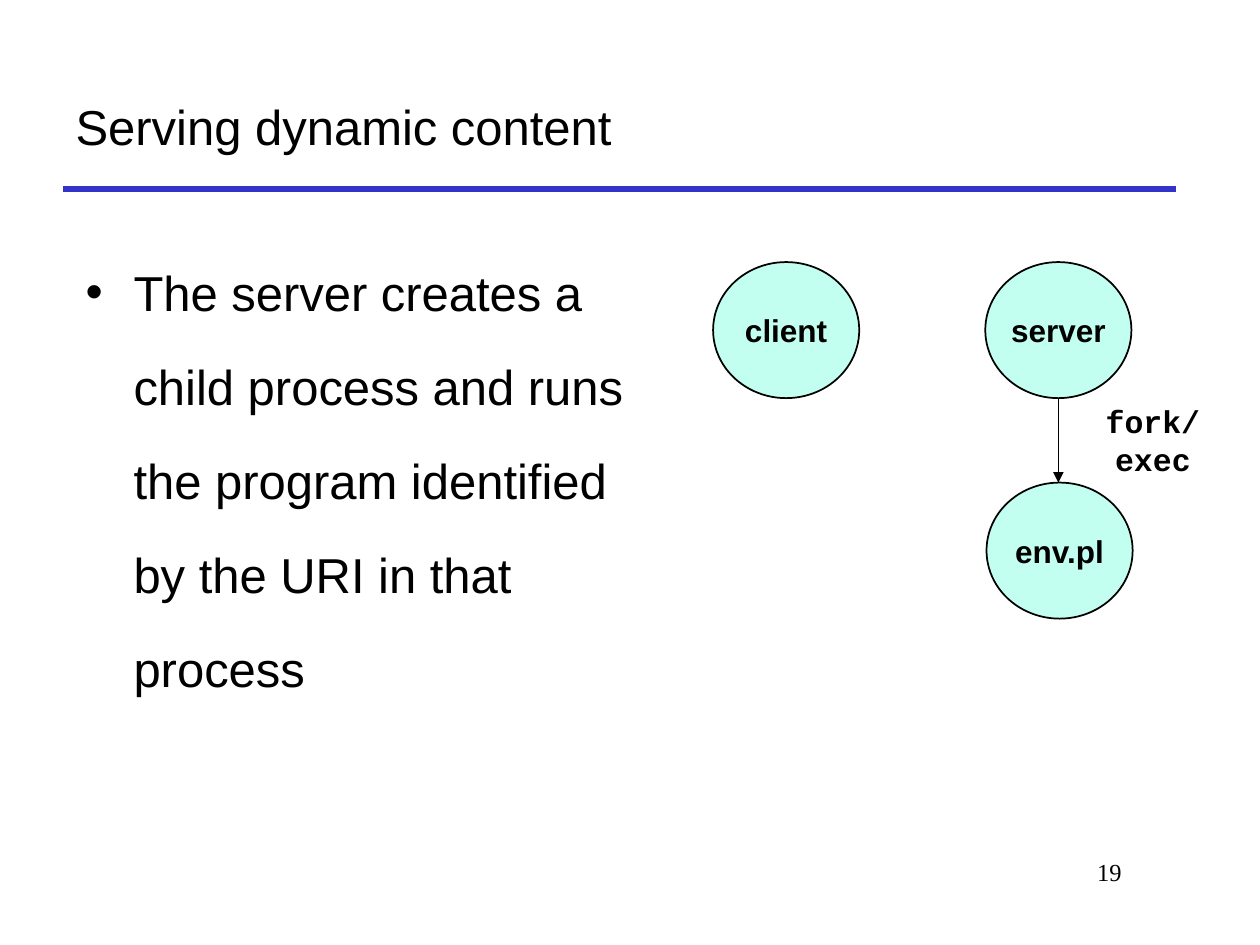
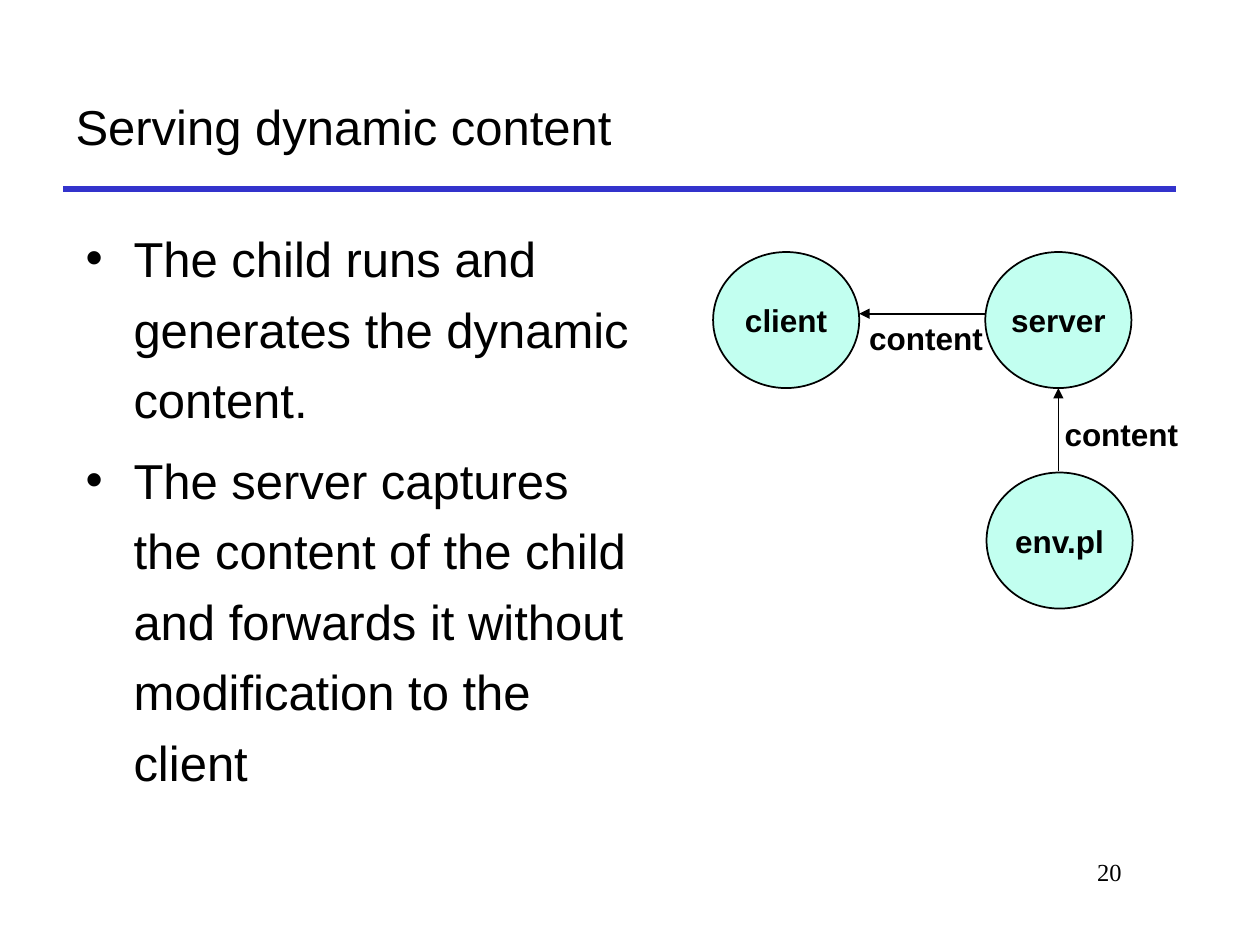
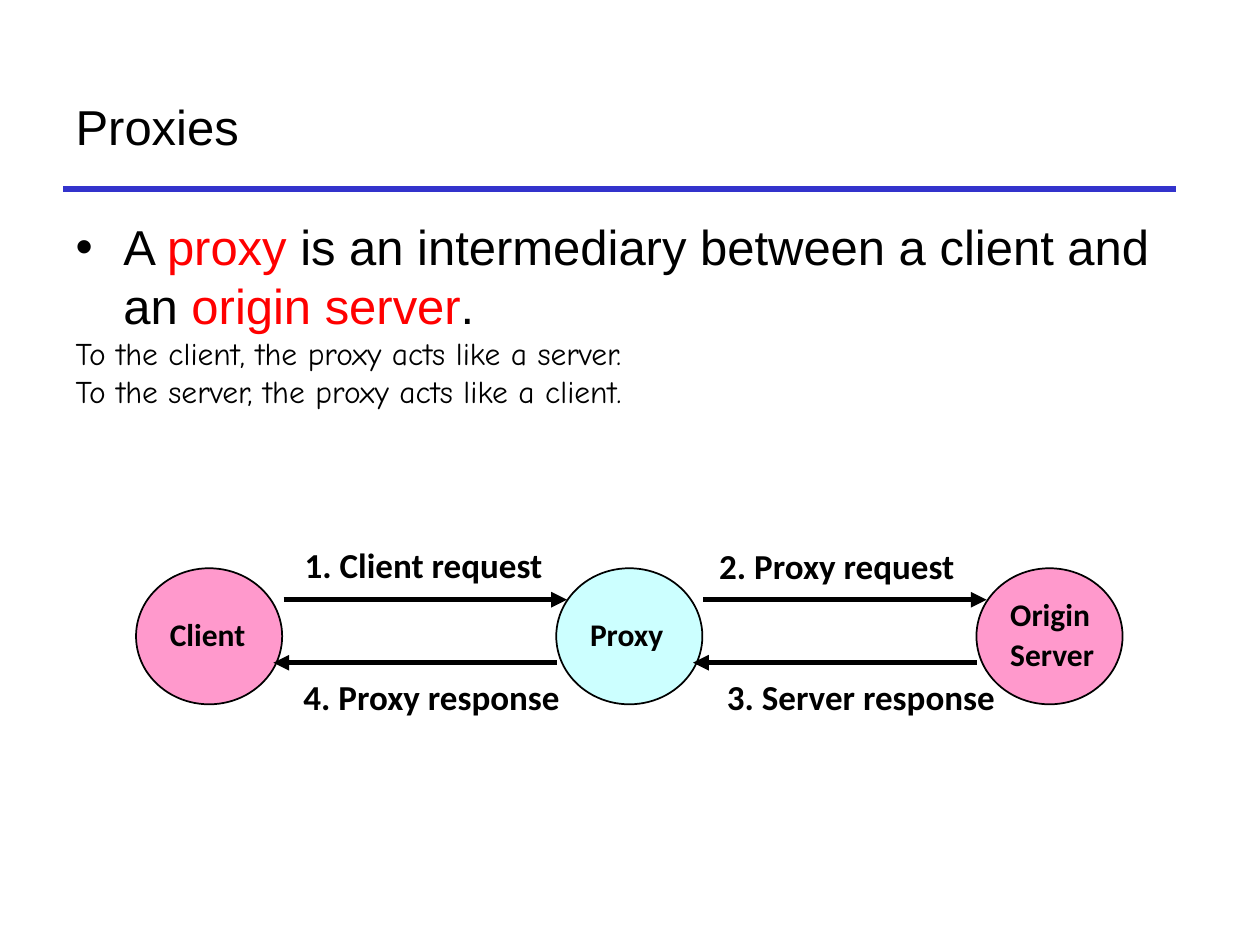
from lxml.etree import SubElement as Sub
from pptx import Presentation
from pptx.dml.color import RGBColor
from pptx.enum.shapes import MSO_CONNECTOR as Conn, MSO_SHAPE as Shape
from pptx.enum.text import MSO_ANCHOR as Anchor, MSO_AUTO_SIZE as Auto, PP_ALIGN as Align
from pptx.oxml.ns import qn
from pptx.util import Inches, Pt

BLACK = "000000"
BLUE = "3333CC"
RED = "FF0000"
MINT = "C2FFF0"
PINK = "FF99CC"
AQUA = "CCFFFF"
SANS = "Arial"
LABEL = "Calibri"


def tint(code):
    return RGBColor.from_string(code)


def place(shape, left, top, width, height):
    shape.left, shape.top = Inches(left), Inches(top)
    shape.width, shape.height = Inches(width), Inches(height)


class Deck:
    def __init__(self):
        self.show = Presentation()
        self.show.slide_width = Inches(10)
        self.show.slide_height = Inches(7.5)
        self.slide = None

    def page(self, title, number=None):
        self.slide = self.show.slides.add_slide(self.show.slide_layouts[1])
        self.line((0.5, 1.5), (9.33, 1.5), BLUE, 3)
        head = self.slide.shapes.title
        place(head, 0.5, 0.5, 8.83, 1)
        frame = head.text_frame
        frame.auto_size = Auto.NONE
        frame.vertical_anchor = Anchor.MIDDLE
        frame.paragraphs[0].alignment = Align.LEFT
        self.run(frame.paragraphs[0], title, 28)
        if number:
            self.note(number, (7.58, 6.75, 1.42, 0.5), 14, "Times New Roman",
                      bold=False, align=Align.RIGHT, wrap=True)

    def run(self, para, text, size, face=SANS, color=BLACK, bold=False):
        run = para.add_run()
        run.text = text
        font = run.font
        font.size, font.name, font.bold = Pt(size), face, bold
        font.color.rgb = tint(color)

    def body(self, box):
        hold = self.slide.placeholders[1]
        place(hold, *box)
        hold.text_frame.auto_size = Auto.NONE
        hold.text_frame.vertical_anchor = Anchor.TOP
        return hold.text_frame

    def item(self, frame, parts, space=1.0):
        first = not frame.paragraphs[0].runs
        para = frame.paragraphs[0] if first else frame.add_paragraph()
        props = para._p.get_or_add_pPr()
        props.set("marL", str(Inches(0.38)))
        props.set("indent", str(Inches(-0.38)))
        Sub(props, qn("a:buFont")).set("typeface", SANS)
        Sub(props, qn("a:buChar")).set("char", "•")
        para.line_spacing = space
        para.space_before = Pt(0 if first else 5.6)
        for text, color in parts:
            self.run(para, text, 28, color=color)

    def plain(self, frame, text):
        para = frame.add_paragraph()
        para.level = 1
        props = para._p.get_or_add_pPr()
        props.set("marL", "0")
        props.set("indent", "0")
        Sub(props, qn("a:buNone"))
        para.space_before = Pt(0)
        self.run(para, text, 18, "Comic Neue")

    def ball(self, lines, left, top, fill=MINT, face=SANS, align=Align.CENTER, space=1.0):
        ball = self.slide.shapes.add_shape(
            Shape.OVAL, Inches(left), Inches(top), Inches(1.16), Inches(1.08))
        ball.shadow.inherit = False
        ball.fill.solid()
        ball.fill.fore_color.rgb = tint(fill)
        ball.line.color.rgb = tint(BLACK)
        ball.line.width = Pt(1)
        frame = ball.text_frame
        frame.word_wrap = False
        frame.vertical_anchor = Anchor.MIDDLE
        for rank, text in enumerate(lines):
            para = frame.add_paragraph() if rank else frame.paragraphs[0]
            para.alignment = align
            para.line_spacing = space
            para.space_before = Pt(3.6 if rank else 0)
            self.run(para, text, 18, face, bold=True)

    def note(self, text, box, size=18, face=SANS, bold=True, align=Align.CENTER,
             anchor=Anchor.TOP, wrap=False, space=1.0):
        note = self.slide.shapes.add_textbox(*map(Inches, box))
        frame = note.text_frame
        frame.word_wrap = wrap
        frame.auto_size = Auto.NONE if wrap else Auto.SHAPE_TO_FIT_TEXT
        frame.vertical_anchor = anchor
        para = frame.paragraphs[0]
        para.alignment = align
        para.line_spacing = space
        self.run(para, text, size, face, bold=bold)

    def line(self, start, end, color=BLACK, width=1.0):
        line = self.slide.shapes.add_connector(
            Conn.STRAIGHT, *map(Inches, start + end))
        line.line.color.rgb = tint(color)
        line.line.width = Pt(width)
        Sub(line._element.spPr, qn("a:effectLst"))
        return line

    def arrow(self, start, end, width=1.0):
        line = self.line(start, end, width=width)
        Sub(line.line._get_or_add_ln(), qn("a:tailEnd")).set("type", "triangle")

    def trio(self, top):
        self.ball(["client"], 5.66, top)
        self.ball(["server"], 7.82, top)
        self.ball(["env.pl"], 7.83, top + 1.75)


def main():
    deck = Deck()

    deck.page("Serving dynamic content", "19")
    frame = deck.body((0.58, 1.75, 4.75, 4.92))
    deck.item(frame, [("The server creates a child process and runs the program "
                       "identified by the URI in that process", BLACK)], 1.6)
    deck.trio(2.08)
    deck.arrow((8.4, 3.16), (8.4, 3.83))
    deck.note("fork/exec", (8.4, 3.29, 1.5, 0.4), face="Courier New",
              anchor=Anchor.MIDDLE, wrap=True)

    deck.page("Serving dynamic content", "20")
    frame = deck.body((0.58, 1.67, 4.67, 5))
    for text in ("The child runs and generates the dynamic content.",
                 "The server captures the content of the child and forwards it "
                 "without modification to the client"):
        deck.item(frame, [(text, BLACK)], 1.2)
    deck.trio(2)
    deck.arrow((8.4, 3.74), (8.4, 3.08))
    deck.arrow((7.82, 2.49), (6.82, 2.49))
    for left, top in ((8.35, 3.24), (6.8, 2.48)):
        deck.note("content", (left, top, 1.1, 0.4), anchor=Anchor.MIDDLE)

    deck.page("Proxies")
    frame = deck.body((0.5, 1.67, 9.09, 4.33))
    deck.item(frame, [("A ", BLACK), ("proxy ", RED),
                      ("is an intermediary between a client and an ", BLACK),
                      ("origin server", RED), (".", BLACK)])
    deck.plain(frame, "To the client, the proxy acts like a server.")
    deck.plain(frame, "To the server, the proxy acts like a client.")
    hosts = ((["Client"], PINK), (["Proxy"], AQUA), (["Origin", "Server"], PINK))
    for rank, (lines, fill) in enumerate(hosts):
        deck.ball(lines, 1.08 + rank * 3.335, 4.51, fill, LABEL, Align.LEFT, 0.9)
    for left in (2.25, 5.58):
        deck.arrow((left, 4.76), (left + 2.25, 4.76), 3)
        deck.arrow((left + 2.17, 5.26), (left - 0.08, 5.26), 3)
    for text, left, top, width in (("1. Client request", 2.32, 4.3, 2.16),
                                   ("2. Proxy request", 5.61, 4.31, 2.15),
                                   ("3. Server response", 5.67, 5.35, 2.41),
                                   ("4. Proxy response", 2.31, 5.35, 2.35)):
        deck.note(text, (left, top, width, 0.4), 20, LABEL, align=Align.LEFT, space=0.9)

    deck.show.save("out.pptx")


if __name__ == "__main__":
    main()
